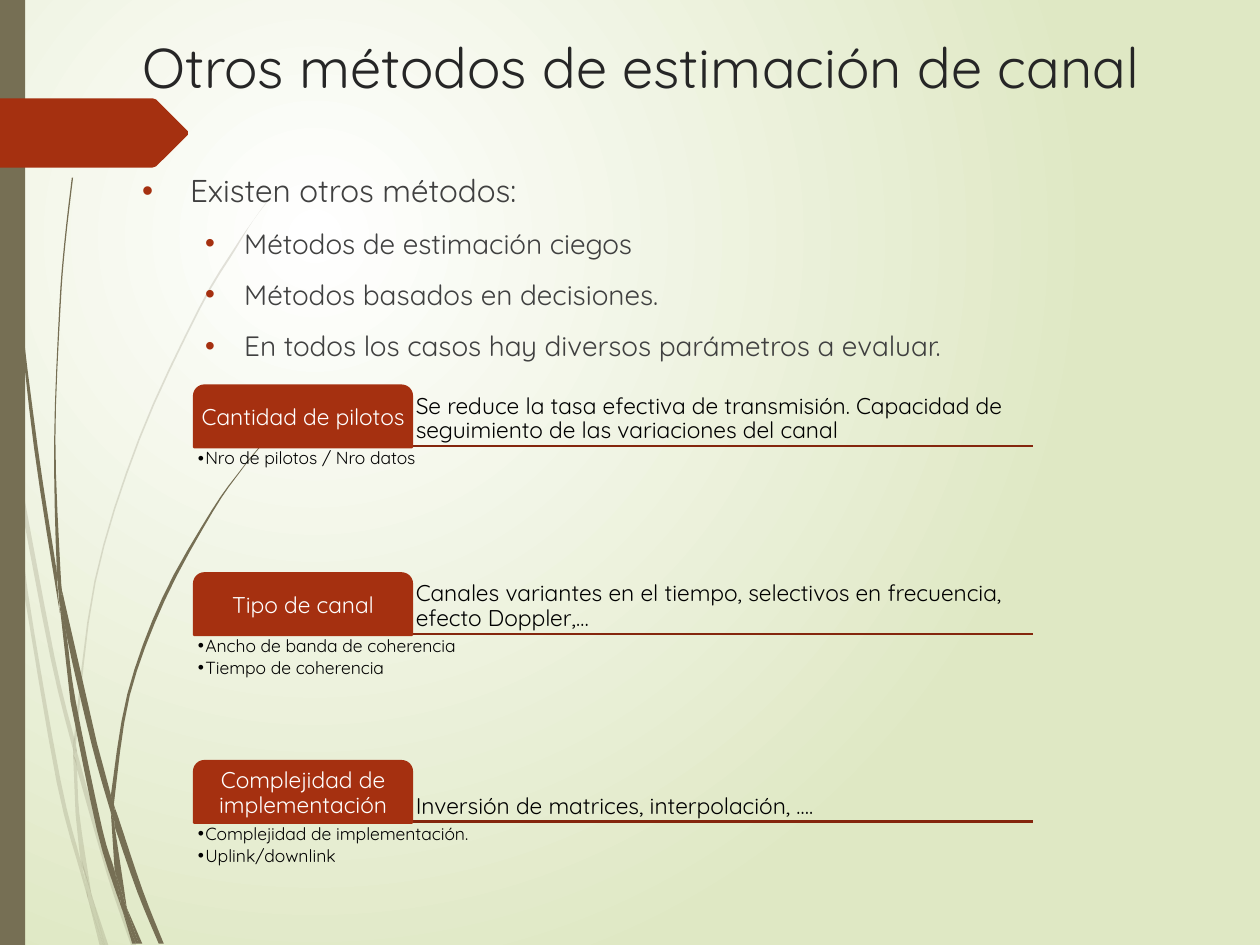
from dataclasses import dataclass
from lxml.etree import SubElement
from pptx import Presentation
from pptx.dml.color import RGBColor
from pptx.enum.shapes import MSO_CONNECTOR, MSO_SHAPE
from pptx.enum.text import MSO_ANCHOR, PP_ALIGN
from pptx.oxml.ns import qn
from pptx.util import Inches, Pt


@dataclass(frozen=True)
class Theme:
    font: str = "Quicksand"
    white: str = "FFFFFF"
    black: str = "000000"
    pale: str = "DFE8C4"
    olive: str = "766F54"
    red: str = "A53010"
    rust: str = "84260D"
    dark: str = "262626"
    gray: str = "404040"
    head: int = 32
    lead: int = 18
    item: int = 16
    card: int = 13
    note: int = 10
    rule: float = 1.25


FAINT = [
    ([(0, 282), (6, 322), (8, 350)], [(7, 344), (0, 299)]),
    ([(10, 345), (43, 520), (59, 586)], [(59, 599), (40, 522), (12, 376)]),
    ([(61, 596), (64, 607), (88, 692), (108, 750)], [(104, 750), (85, 694), (61, 610)]),
    ([(73, 711), (86, 750)], [(83, 750)]),
    ([(8, 350), (12, 376), (22, 469), (48, 619), (64, 683), (69, 707), (70, 714)],
     [(64, 693), (45, 621), (19, 470)]),
    ([(58, 599), (61, 608), (63, 646), (72, 706), (73, 711)],
     [(67, 692), (64, 683), (60, 646)]),
    ([(61, 596), (61, 584), (76, 462), (111, 349), (159, 245), (187, 198), (201, 175), (217, 154)],
     [(217, 153), (201, 175), (186, 197), (158, 244), (110, 348), (75, 461), (59, 584), (59, 586)]),
    ([(70, 714), (79, 750)], [(82, 750)]),
    ([(61, 608), (61, 596), (59, 586)], [(58, 599)]),
    ([(65, 683), (73, 711), (83, 750)], [(82, 750), (70, 714), (69, 707)]),
]
SOLID = [
    ([(2, 0), (3, 48), (5, 110), (14, 233), (27, 355), (46, 477), (47, 481)],
     [(45, 457), (45, 453), (30, 355), (15, 232), (6, 109), (4, 48), (3, 0)]),
    ([(50, 472), (53, 505), (73, 592), (88, 645)], [(88, 633), (88, 631), (77, 590)]),
    ([(91, 641), (94, 649), (113, 706), (130, 749)], [(126, 749), (109, 708), (91, 656)]),
    ([(47, 477), (53, 505), (60, 556), (81, 657), (91, 691), (96, 717), (97, 722)],
     [(92, 708), (77, 659), (56, 557)]),
    ([(50, 472), (48, 453), (44, 349), (48, 245), (52, 193), (58, 141)],
     [(57, 141), (51, 193), (47, 245), (43, 349), (45, 449), (49, 472)]),
    ([(100, 719), (113, 749)], [(110, 749)]),
    ([(45, 449), (49, 472), (50, 472), (53, 505)], [(47, 477), (45, 453)]),
    ([(91, 641), (91, 633), (103, 552), (131, 476), (169, 406), (191, 374), (203, 359), (216, 344)],
     [(215, 344), (203, 358), (191, 373), (168, 405), (129, 474), (101, 551), (88, 631)]),
    ([(97, 722), (108, 749)], [(105, 749)]),
    ([(88, 645), (90, 651), (91, 656), (100, 716), (100, 719)], [(96, 706), (91, 691)]),
    ([(88, 631), (91, 641), (91, 656)], [(90, 651), (88, 645)]),
    ([(91, 691), (96, 706), (100, 719), (110, 749)], [(108, 749), (97, 722), (96, 717)]),
]
ARROW = [(0, 78), (121, 78), (124, 79), (149, 104), (149, 107), (124, 132), (121, 133), (0, 133)]
ITEMS = [
    "Métodos de estimación ciegos",
    "Métodos basados en decisiones.",
    "En todos los casos hay diversos parámetros a evaluar.",
]
CARDS = [
    ("Cantidad de pilotos",
     "Se reduce la tasa efectiva de transmisión. Capacidad de seguimiento de las variaciones del canal",
     ["Nro de pilotos / Nro datos"]),
    ("Tipo de canal",
     "Canales variantes en el tiempo, selectivos en frecuencia, efecto Doppler,…",
     ["Ancho de banda de coherencia", "Tiempo de coherencia"]),
    ("Complejidad de implementación",
     "Inversión de matrices, interpolación, ….",
     ["Complejidad de implementación.", "Uplink/downlink"]),
]


def smooth(pts, steps=4):
    ends = [pts[0], *pts, pts[-1]]
    out = [pts[0]]
    for a, b, c, d in zip(ends, ends[1:], ends[2:], ends[3:]):
        for step in range(1, steps + 1):
            t = step / steps
            out.append(tuple(
                (2 * q + (r - p) * t + (2 * p - 5 * q + 4 * r - s) * t**2
                 + (3 * q - p - 3 * r + s) * t**3) / 2
                for p, q, r, s in zip(a, b, c, d)))
    return out


class Deck:
    cols, rows = 1000, 750

    def __init__(self, theme):
        self.look = theme
        self.prs = Presentation()
        self.prs.slide_width, self.prs.slide_height = Inches(10), Inches(7.5)
        self.page = self.prs.slides.add_slide(self.prs.slide_layouts[5])

    def grid(self, x, y):
        return (round(x * self.prs.slide_width / self.cols),
                round(y * self.prs.slide_height / self.rows))

    def box(self, x, y, w, h):
        return *self.grid(x, y), *self.grid(w, h)

    def paint(self, shape, color, alpha=None):
        shape.shadow.inherit = False
        shape.fill.solid()
        shape.fill.fore_color.rgb = RGBColor.from_string(color)
        shape.line.fill.background()
        if alpha:
            tint = shape.fill._xPr.find(".//" + qn("a:srgbClr"))
            SubElement(tint, qn("a:alpha"), val=str(alpha * 1000))

    def ground(self, inner, outer):
        fill = self.page.background.fill
        fill.gradient()
        for stop, color in zip(fill.gradient_stops, (inner, outer)):
            stop.color.rgb = RGBColor.from_string(color)
        grad = self.page.element.find(".//" + qn("a:gradFill"))
        grad.remove(grad.find(qn("a:lin")))
        glow = SubElement(grad, qn("a:path"), path="circle")
        SubElement(glow, qn("a:fillToRect"), l="50000", t="50000", r="100000", b="100000")

    def form(self, pts, color, alpha=None):
        first, *rest = [self.grid(*p) for p in pts]
        pen = self.page.shapes.build_freeform(*first, scale=1.0)
        pen.add_line_segments(rest, close=True)
        self.paint(pen.convert_to_shape(), color, alpha)

    def shape(self, kind, place, color):
        shape = self.page.shapes.add_shape(kind, *self.box(*place))
        self.paint(shape, color)
        return shape

    def rule(self, x, y, end):
        line = self.page.shapes.add_connector(
            MSO_CONNECTOR.STRAIGHT, *self.grid(x, y), *self.grid(end, y))
        line.line.color.rgb = RGBColor.from_string(self.look.rust)
        line.line.width = Pt(self.look.rule)
        SubElement(line.element.spPr, qn("a:effectLst"))

    def frame(self, shape, anchor=MSO_ANCHOR.TOP, pad=None):
        text = shape.text_frame
        text.word_wrap = True
        text.vertical_anchor = anchor
        if pad is not None:
            text.margin_left = text.margin_right = Inches(pad)
            text.margin_top = text.margin_bottom = Inches(0.03)
        return text

    def text(self, place, **style):
        return self.frame(self.page.shapes.add_textbox(*self.box(*place)), **style)

    def para(self, text, words, size, color, first=True, align=PP_ALIGN.LEFT, tight=None):
        para = text.paragraphs[0] if first else text.add_paragraph()
        para.alignment = align
        para.line_spacing = tight
        run = para.add_run()
        run.text = words
        run.font.name, run.font.size = self.look.font, Pt(size)
        run.font.color.rgb = RGBColor.from_string(color)
        return para

    def mark(self, para, left, hang, color):
        props = para._p.get_or_add_pPr()
        props.set("marL", str(Inches(left)))
        props.set("indent", str(-Inches(hang)))
        SubElement(SubElement(props, qn("a:buClr")), qn("a:srgbClr"), val=color)
        SubElement(props, qn("a:buFont"), typeface="Arial")
        SubElement(props, qn("a:buChar"), char="•")

    def title(self, words, place):
        head = self.page.shapes.title
        head.left, head.top, head.width, head.height = self.box(*place)
        self.para(self.frame(head), words, self.look.head, self.look.dark)

    def card(self, y, name, about, notes):
        look, left, width, high = self.look, 154, 173, 49
        self.rule(left, y + high - 1, left + 666)
        text = self.text((left + width, y, 493, high), anchor=MSO_ANCHOR.BOTTOM, pad=0.03)
        self.para(text, about, look.card, look.black, tight=0.9)
        tab = self.shape(MSO_SHAPE.ROUND_2_SAME_RECTANGLE, (left, y, width, high), look.red)
        tab.line.color.rgb = RGBColor.from_string(look.red)
        tab.line.width = Pt(look.rule)
        text = self.frame(tab, MSO_ANCHOR.MIDDLE, 0.01)
        self.para(text, name, look.card, look.white, align=PP_ALIGN.CENTER, tight=0.9)
        text = self.text((left, y + high - 1, 667, 98), pad=0.03)
        for i, note in enumerate(notes):
            para = self.para(text, note, look.note, look.black, first=i == 0, tight=0.9)
            para.space_after = Pt(1.5)
            self.mark(para, 0.06, 0.06, look.black)


def main():
    look = Theme()
    deck = Deck(look)
    deck.ground(look.white, look.pale)
    for blades, alpha in ((FAINT, 20), (SOLID, None)):
        for there, back in blades:
            deck.form(smooth(there) + smooth(back), look.olive, alpha)
    deck.shape(MSO_SHAPE.RECTANGLE, (0, 0, 20, 750), look.olive)
    deck.form(ARROW, look.red)
    deck.title("Otros métodos de estimación de canal", (103, 21, 921, 140))
    body = deck.text((103, 131, 835, 393))
    para = deck.para(body, "Existen otros métodos:", look.lead, look.gray)
    para.space_before = Pt(10)
    deck.mark(para, 0.38, 0.38, look.red)
    for item in ITEMS:
        para = deck.para(body, item, look.item, look.gray, first=False)
        para.level, para.space_before = 1, Pt(10)
        deck.mark(para, 0.81, 0.31, look.red)
    for i, card in enumerate(CARDS):
        deck.card(306 + 149 * i, *card)
    deck.prs.save("out.pptx")


if __name__ == "__main__":
    main()
